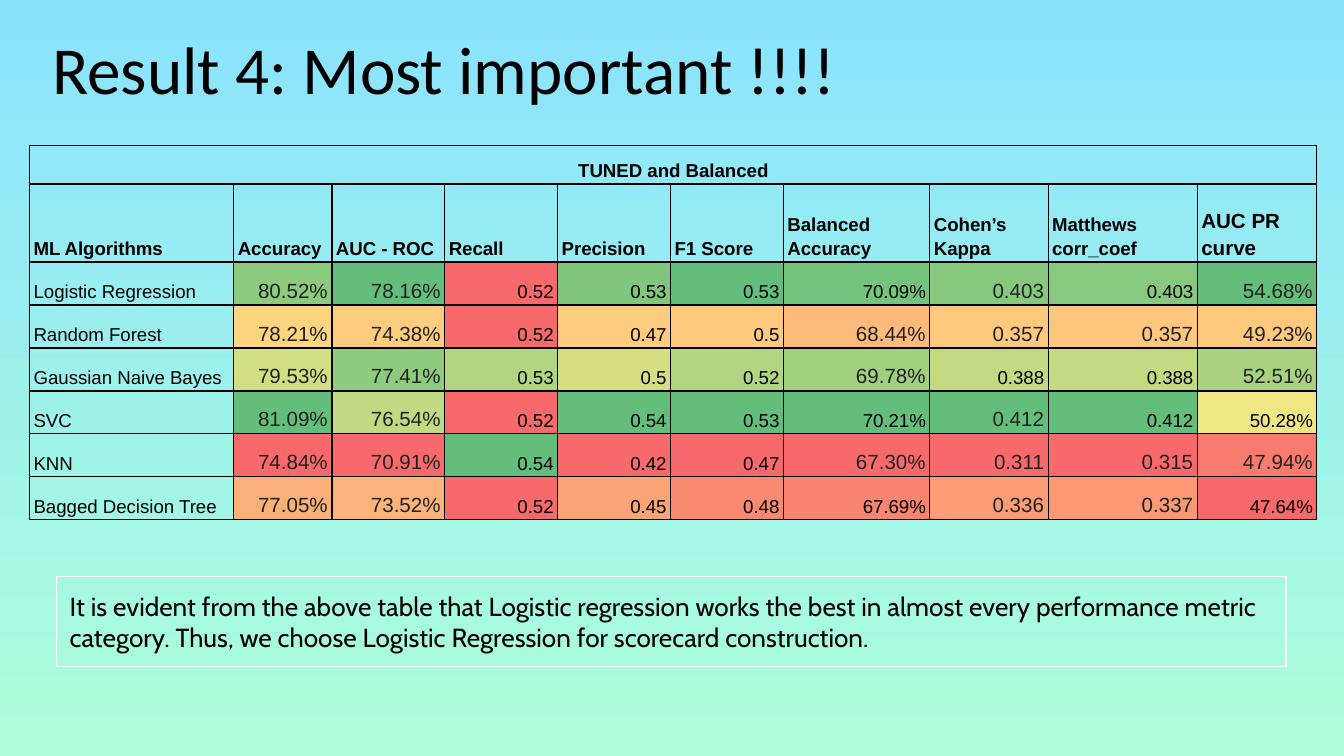
from dataclasses import dataclass

from lxml.etree import SubElement
from pptx import Presentation
from pptx.dml.color import RGBColor
from pptx.enum.shapes import MSO_SHAPE as Shape
from pptx.enum.text import MSO_ANCHOR as Anchor, PP_ALIGN as Align
from pptx.oxml.ns import qn
from pptx.util import Inches, Pt

BLACK, GREY, WHITE = "000000", "212121", "FFFFFF"
COLUMN_WIDTHS = [1.52, 0.73, 0.84, 0.84, 0.84, 0.84, 1.09, 0.88, 1.11, 0.89]
ROW_HEIGHTS = [0.29, 0.58] + [0.32] * 6
HEADINGS = [
    "ML Algorithms", "Accuracy", "AUC - ROC", "Recall", "Precision", "F1 Score",
    "Balanced Accuracy", "Cohen’s Kappa", "Matthews corr_coef", "AUC PR curve",
]


@dataclass(frozen=True)
class Model:
    name: str
    scores: str
    fills: str
    large: set[int]  # table columns set in larger grey type


MODELS = [
    Model("Logistic Regression",
          "80.52% 78.16% 0.52 0.53 0.53 70.09% 0.403 0.403 54.68%",
          "8CCA7E 63BE7B F8696B 80C77D 63BE7B 75C47D 86C87D 87C97E 63BE7B",
          {1, 2, 7, 9}),
    Model("Random Forest",
          "78.21% 74.38% 0.52 0.47 0.5 68.44% 0.357 0.357 49.23%",
          "FDD57F FDCC7E F8696B FDCC7E FDCA7D FCBB7A FDCA7D FDC87D FDCA7D",
          {1, 2, 6, 7, 8, 9}),
    Model("Gaussian Naive Bayes",
          "79.53% 77.41% 0.53 0.5 0.52 69.78% 0.388 0.388 52.51%",
          "D1DE82 8FCB7E B1D580 D5DF82 B1D580 A1D07F C3DA81 C3DA81 A8D27F",
          {1, 2, 6, 9}),
    Model("SVC",
          "81.09% 76.54% 0.52 0.54 0.53 70.21% 0.412 0.412 50.28%",
          "63BE7B C1DA81 F8696B 63BE7B 63BE7B 63BE7B 63BE7B 63BE7B EFE784",
          {1, 2, 7}),
    Model("KNN",
          "74.84% 70.91% 0.54 0.42 0.47 67.30% 0.311 0.315 47.94%",
          "F8696B F8696B 63BE7B F8696B F8696B F8696B F8696B F8696B F87B6E",
          {1, 2, 6, 7, 8, 9}),
    Model("Bagged Decision Tree",
          "77.05% 73.52% 0.52 0.45 0.48 67.69% 0.336 0.337 47.64%",
          "FBB078 FCB379 F8696B FBA576 F98971 F98570 FA9D75 FA9974 F8696B",
          {1, 2, 7, 8}),
]


def rgb(value: str) -> RGBColor:
    return RGBColor.from_string(value)


def write(frame, text: str, *, size: float = 10, font: str = "Arial", color: str = BLACK,
          bold: bool = False, align=Align.LEFT, spacing: float = 1.0) -> None:
    frame.word_wrap = True
    paragraph = frame.paragraphs[0]
    paragraph.alignment = align
    paragraph.line_spacing = spacing
    run = paragraph.add_run()
    run.text = text
    run.font.size = Pt(size)
    run.font.name = font
    run.font.bold = bold
    run.font.color.rgb = rgb(color)


def set_margins(target, across: float, down: float) -> None:
    target.margin_left = target.margin_right = Inches(across)
    target.margin_top = target.margin_bottom = Inches(down)


def style_cell(cell) -> None:
    cell.vertical_anchor = Anchor.BOTTOM
    set_margins(cell, 0.03, 0.02)
    properties = cell._tc.get_or_add_tcPr()
    for side in ("a:lnL", "a:lnR", "a:lnT", "a:lnB"):
        border = SubElement(properties, qn(side), w=str(Pt(0.75)))
        SubElement(SubElement(border, qn("a:solidFill")), qn("a:srgbClr"), val=BLACK)
    cell.fill.background()


def add_results(slide) -> None:
    table = slide.shapes.add_table(
        len(ROW_HEIGHTS), len(COLUMN_WIDTHS), Inches(0.22), Inches(1.08),
        Inches(sum(COLUMN_WIDTHS)), Inches(sum(ROW_HEIGHTS))).table
    table.first_row = table.horz_banding = False
    for column, width in zip(table.columns, COLUMN_WIDTHS):
        column.width = Inches(width)
    for row, height in zip(table.rows, ROW_HEIGHTS):
        row.height = Inches(height)
    for cell in table.iter_cells():
        style_cell(cell)

    # Caption and headings
    caption = table.cell(0, 0)
    caption.merge(table.cell(0, len(COLUMN_WIDTHS) - 1))
    write(caption.text_frame, "TUNED and Balanced", bold=True, align=Align.CENTER, spacing=1.15)
    for col, heading in enumerate(HEADINGS):
        size = 11 if heading == "AUC PR curve" else 10
        write(table.cell(1, col).text_frame, heading, size=size, bold=True, spacing=1.15)

    # Scores, shaded from red to green
    for row, model in enumerate(MODELS, start=2):
        write(table.cell(row, 0).text_frame, model.name, spacing=1.15)
        scores = zip(model.scores.split(), model.fills.split())
        for col, (score, fill) in enumerate(scores, start=1):
            cell = table.cell(row, col)
            cell.fill.solid()
            cell.fill.fore_color.rgb = rgb(fill)
            size, color = (11, GREY) if col in model.large else (10, BLACK)
            write(cell.text_frame, score, size=size, color=color,
                  align=Align.RIGHT, spacing=1.15)


def main() -> None:
    deck = Presentation()
    deck.slide_width = Inches(10)
    deck.slide_height = deck.slide_width * 9 // 16
    slide = deck.slides.add_slide(deck.slide_layouts[6])

    # Background, running from top to bottom
    backdrop = slide.background.fill
    backdrop.gradient()
    backdrop.gradient_angle = 270
    for stop, color in zip(backdrop.gradient_stops, ("8BE3FF", "ACFFD9")):
        stop.color.rgb = rgb(color)

    # Title
    title = slide.shapes.add_textbox(Inches(0.29), Inches(0.1), Inches(9.32), Inches(0.63))
    set_margins(title.text_frame, 0.1, 0.1)
    write(title.text_frame, "Result 4: Most important !!!!", size=36, font="Calibri")

    # Conclusion
    conclusion = slide.shapes.add_shape(
        Shape.RECTANGLE, Inches(0.42), Inches(4.29), Inches(9.15), Inches(0.67))
    conclusion.shadow.inherit = False
    conclusion.fill.background()
    conclusion.line.color.rgb = rgb(WHITE)
    conclusion.line.width = Pt(0.75)
    conclusion.text_frame.vertical_anchor = Anchor.TOP
    set_margins(conclusion.text_frame, 0.1, 0.1)
    write(conclusion.text_frame,
          "It is evident from the above table that Logistic regression works the best in "
          "almost every performance metric category. Thus, we choose Logistic Regression "
          "for scorecard construction.", size=14, font="Cabin")

    # Results table
    add_results(slide)
    deck.save("out.pptx")


if __name__ == "__main__":
    main()
